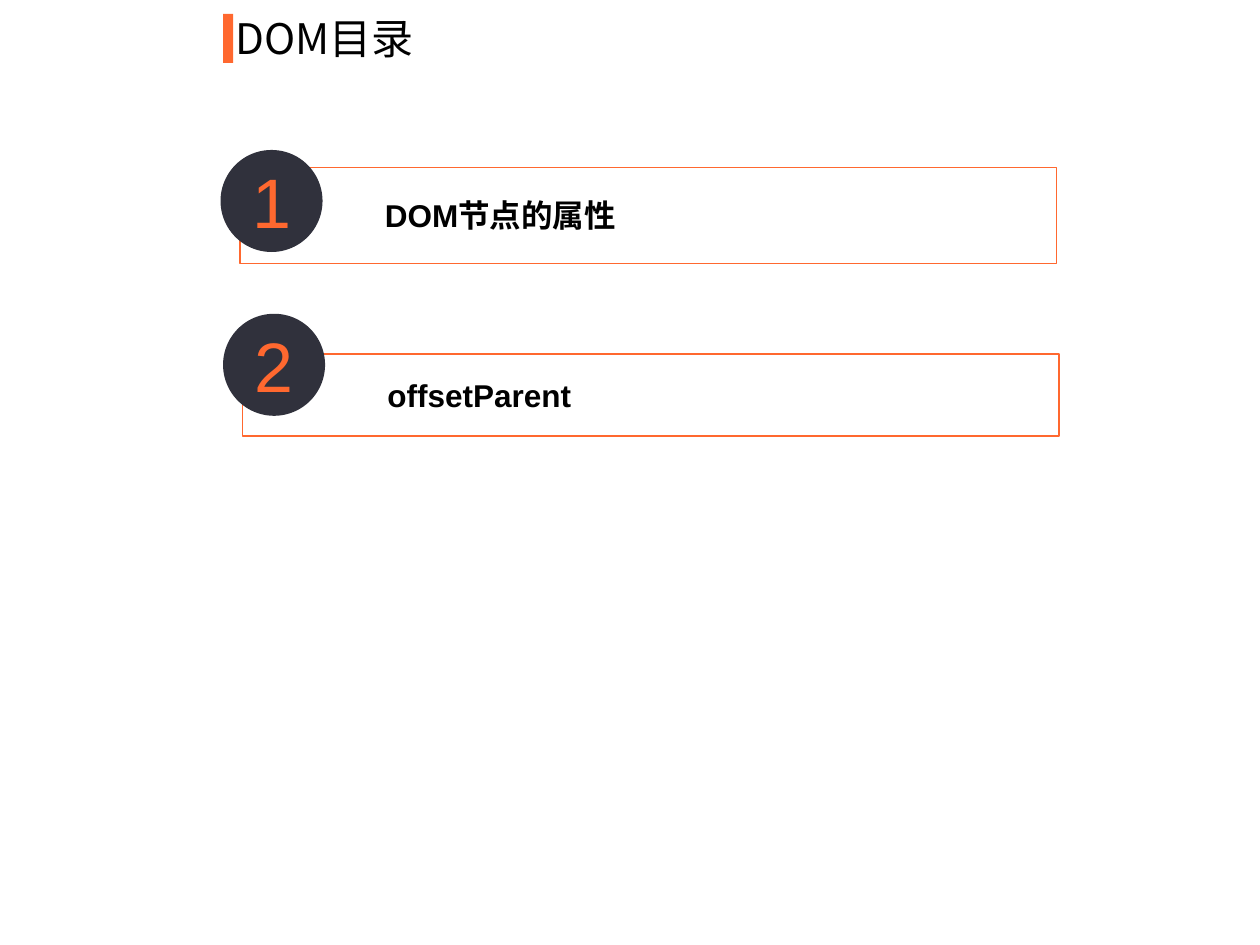
from lxml import etree
from pptx import Presentation
from pptx.dml.color import RGBColor
from pptx.enum import shapes, text
from pptx.oxml.ns import qn
from pptx.util import Inches, Pt

COLORS = {"accent": "FF682F", "dark": "30313C", "white": "FFFFFF", "black": "000000"}
LATIN, HAN = "Arial", "Noto Sans CJK SC"
TITLE = "DOM目录"
# label, circle left and top, box top and height
ITEMS = [
    ("DOM节点的属性", 1.75, 1.19, 1.33, 0.76),
    ("offsetParent", 1.77, 2.49, 2.81, 0.65),
]
DISC, BOX_W, BOX_DX = 0.81, 6.48, 0.155
KIND = shapes.MSO_SHAPE


def color(key):
    return RGBColor.from_string(COLORS[key])


def add_block(slide, kind, place, fill):
    block = slide.shapes.add_shape(kind, *map(Inches, place))
    block.shadow.inherit = False
    block.fill.solid()
    block.fill.fore_color.rgb = color(fill)
    block.line.fill.background()
    return block


def write(shape, words, size, ink, insets, font=LATIN, bold=False,
          align=text.PP_ALIGN.LEFT, anchor=text.MSO_ANCHOR.MIDDLE):
    frame = shape.text_frame
    frame.text = words
    frame.word_wrap = True
    frame.vertical_anchor = anchor
    (frame.margin_left, frame.margin_top,
     frame.margin_right, frame.margin_bottom) = map(Inches, insets)
    para = frame.paragraphs[0]
    para.alignment = align
    run = para.runs[0]
    run.font.size, run.font.bold, run.font.name = Pt(size), bold, font
    run.font.color.rgb = color(ink)
    etree.SubElement(run.font._element, qn("a:ea"), typeface=HAN)


def add_item(slide, number, label, left, top, box_top, box_h):
    box = add_block(slide, KIND.RECTANGLE,
                    (left + BOX_DX, box_top, BOX_W, box_h), "white")
    tint = box.fill._xPr.find(qn("a:solidFill"))[0]
    etree.SubElement(tint, qn("a:alpha"), val="40000")
    box.line.color.rgb = color("accent")
    box.line.width = Pt(0.75)
    write(box, label, 18, "black", (1.15, 0.08, 0.08, 0.08), bold=True)

    disc = add_block(slide, KIND.OVAL, (left, top, DISC, DISC), "dark")
    write(disc, str(number), 40, "accent", (0.1, 0.05, 0.1, 0.05),
          align=text.PP_ALIGN.CENTER)


def main():
    deck = Presentation()
    deck.slide_width, deck.slide_height = Inches(10), Inches(7.5)
    slide = deck.slides.add_slide(deck.slide_layouts[6])

    add_block(slide, KIND.RECTANGLE, (1.77, 0.11, 0.08, 0.39), "accent")
    title = slide.shapes.add_textbox(*map(Inches, (1.77, 0.05, 4.02, 0.5)))
    write(title, TITLE, 24, "black", (0.1, 0.05, 0.1, 0.05), font=HAN,
          anchor=text.MSO_ANCHOR.TOP)
    for number, item in enumerate(ITEMS, 1):
        add_item(slide, number, *item)
    deck.save("out.pptx")


if __name__ == "__main__":
    main()
